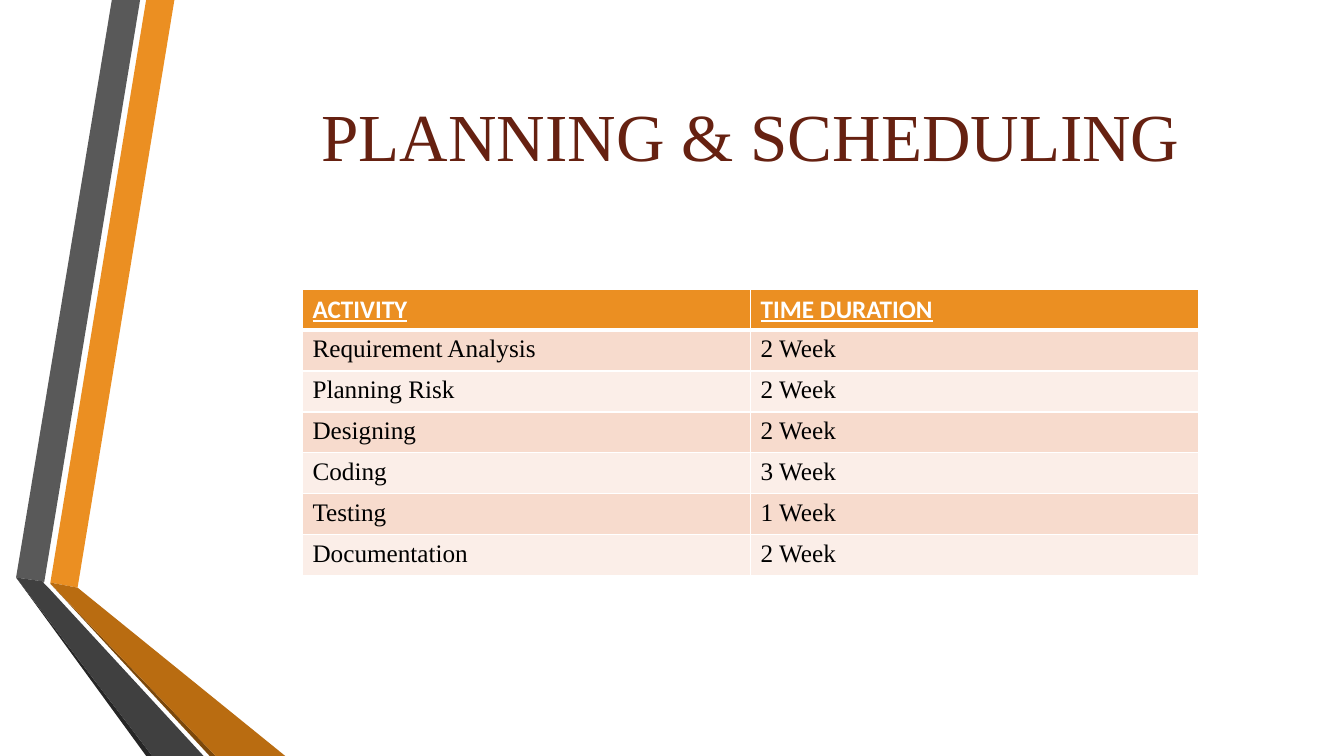
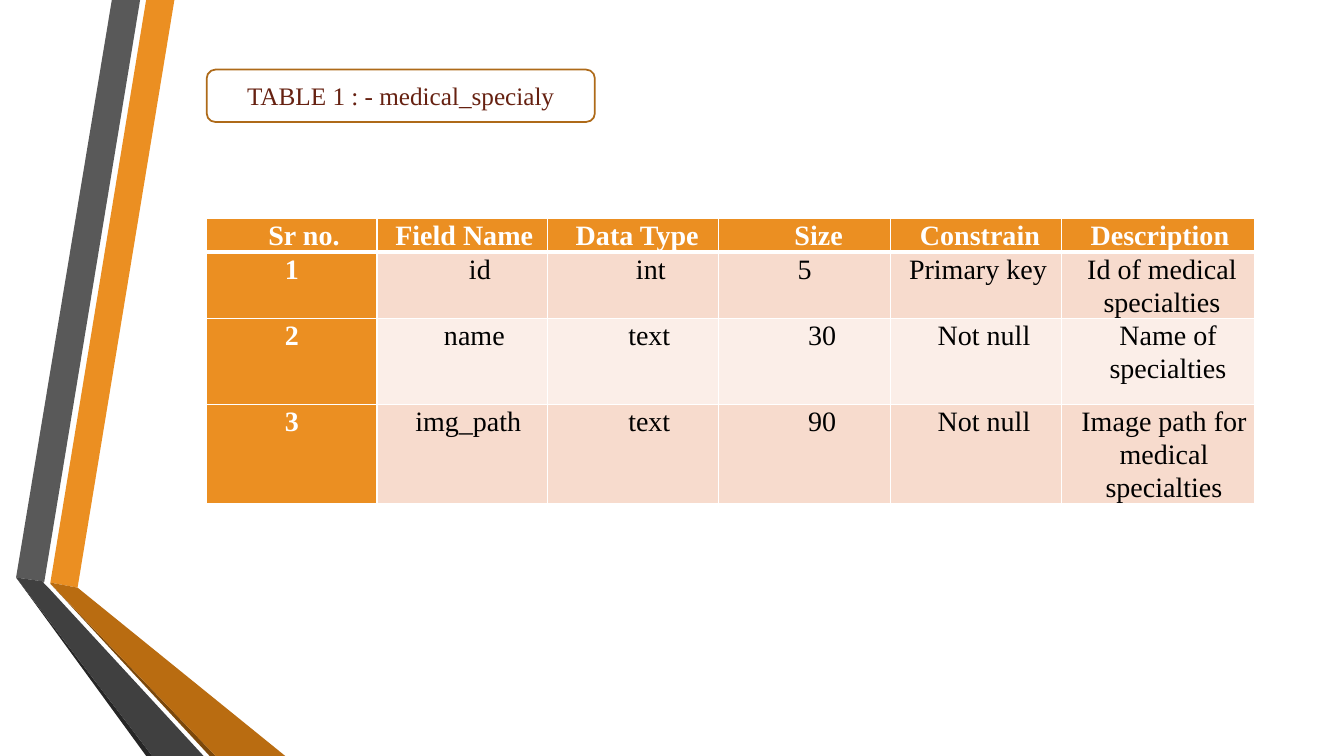
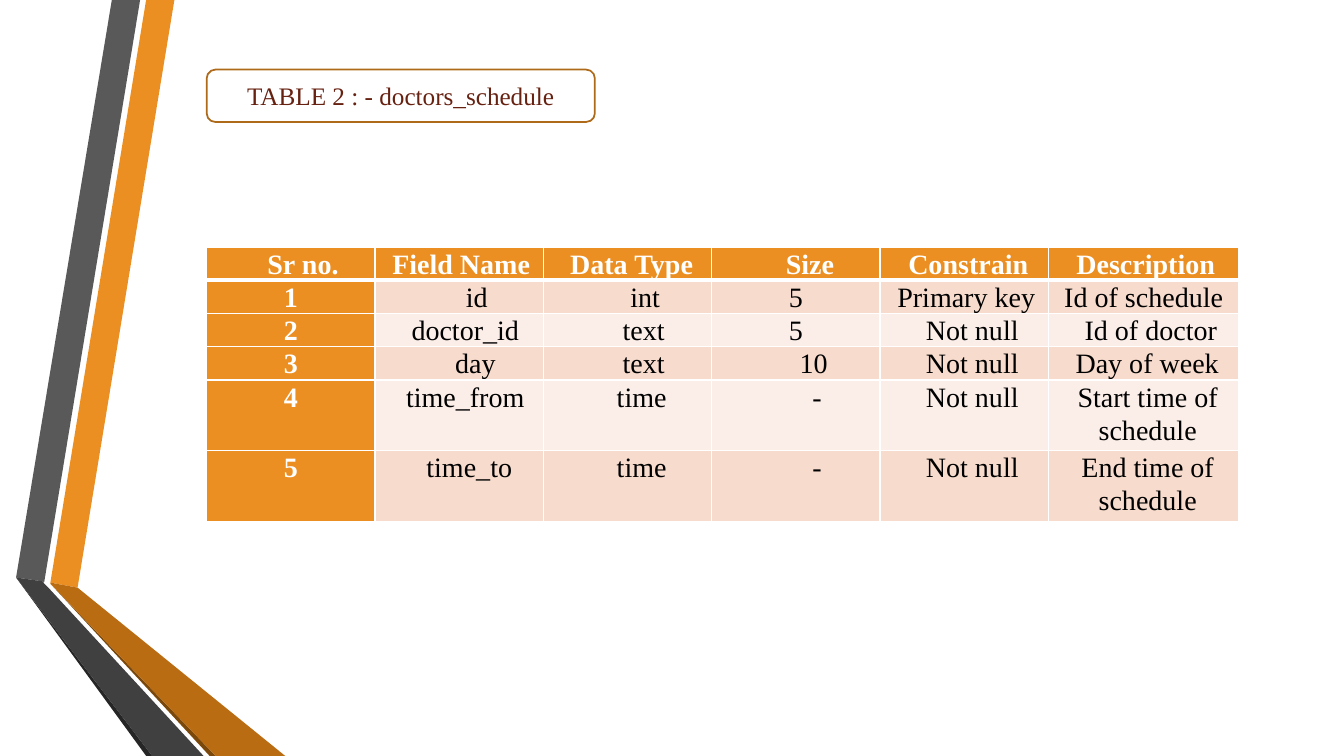
from lxml import etree
from pptx import Presentation
from pptx.dml.color import RGBColor
from pptx.enum.shapes import MSO_SHAPE
from pptx.enum.text import MSO_ANCHOR, MSO_AUTO_SIZE, PP_ALIGN
from pptx.oxml.ns import qn
from pptx.util import Pt

PX = 9144
WIDE, HIGH = 1333, 750
LEFT = 205

ORANGE = RGBColor(0xEB, 0x8F, 0x22)
RUST = RGBColor(0xB9, 0x6C, 0x11)
BROWN = RGBColor(0x7B, 0x48, 0x0B)
GREY = RGBColor(0x59, 0x59, 0x59)
DARK = RGBColor(0x40, 0x40, 0x40)
COAL = RGBColor(0x26, 0x26, 0x26)
MAROON = RGBColor(0x66, 0x21, 0x11)
EDGE = RGBColor(0xAE, 0x6A, 0x19)
PEACH = RGBColor(0xF7, 0xDB, 0xCD)
PALE = RGBColor(0xFB, 0xEE, 0xE8)
WHITE = RGBColor(0xFF, 0xFF, 0xFF)
BLACK = RGBColor(0x00, 0x00, 0x00)

SERIF, SANS = "Times New Roman", "Calibri"
ROUND = MSO_SHAPE.ROUNDED_RECTANGLE
MIDDLE = MSO_ANCHOR.MIDDLE
NO_FIT = MSO_AUTO_SIZE.NONE
CENTER = PP_ALIGN.CENTER

BANDS = [
    (ORANGE, [(50, 578), (77, 583), (173, 0), (145, 0)]),
    (GREY, [(139, 0), (111, 0), (16, 573), (44, 577)]),
    (COAL, [(16, 573), (145, 750), (151, 750)]),
    (BROWN, [(50, 579), (208, 750), (214, 750)]),
    (RUST, [(50, 579), (214, 750), (283, 750), (77, 583), (50, 578)]),
    (DARK, [(202, 750), (48, 583), (43, 578), (44, 577), (16, 573), (151, 750)]),
]

PLAN = [
    ("ACTIVITY", "TIME DURATION"),
    ("Requirement Analysis", "2 Week"),
    ("Planning Risk", "2 Week"),
    ("Designing", "2 Week"),
    ("Coding", "3 Week"),
    ("Testing", "1 Week"),
    ("Documentation", "2 Week"),
]
HEAD = ("Sr no.", "Field Name", "Data Type", "Size", "Constrain", "Description")
MEDICAL = [
    HEAD,
    ("1", "id", "int", "5", "Primary key", "Id of medical specialties"),
    ("2", "name", "text", "30", "Not null", "Name of specialties"),
    ("3", "img_path", "text", "90", "Not null", "Image path for medical specialties"),
]
DOCTORS = [
    HEAD,
    ("1", "id", "int", "5", "Primary key", "Id of schedule"),
    ("2", "doctor_id", "text", "5", "Not null", "Id of doctor"),
    ("3", "day", "text", "10", "Not null", "Day of week"),
    ("4", "time_from", "time", "-", "Not null", "Start time of schedule"),
    ("5", "time_to", "time", "-", "Not null", "End time of schedule"),
]
INDENTS = {
    "Sr no.": 24, "Field Name": 4, "Data Type": 8, "Size": 28,
    "Constrain": 8, "Description": 4,
    "id": 35, "int": 35, "name": 24, "img_path": 12, "doctor_id": 12,
    "day": 32, "time_from": 12, "time_to": 20, "text": 32, "time": 28,
    "30": 35, "90": 35, "10": 35, "-": 42, "Primary key": 4, "Not null": 16,
    "Id of medical specialties": 8, "Name of specialties": 20,
    "Image path for medical specialties": 12, "Id of doctor": 14,
    "Day of week": 7, "Start time of schedule": 8, "End time of schedule": 8,
}


def px(*sizes):
    return [size * PX for size in sizes]


def put(item, form):
    for name, value in form.items():
        setattr(item, name, value)


def ink(font, color, size, **form):
    put(font, {"name": SERIF, "size": Pt(size), **form})
    font.color.rgb = color


def add_bands(prs, slide):
    tree = prs.slide_master.element.cSld.spTree
    for num, (color, dots) in enumerate(BANDS):
        pen = slide.shapes.build_freeform(*dots[0], scale=PX)
        pen.add_line_segments(dots[1:], close=True)
        band = pen.convert_to_shape()
        band.shadow.inherit = False
        band.fill.solid()
        band.fill.fore_color.rgb = color
        band.line.fill.background()
        band.element.nvSpPr.cNvPr.set("id", str(100 + num))
        tree.insert(2 + num, band.element)


def add_title(slide, text, box):
    title = slide.shapes.title
    put(title, dict(zip(("left", "top", "width", "height"), px(*box))))
    frame = title.text_frame
    put(frame, {"text": text, "vertical_anchor": MIDDLE, "auto_size": NO_FIT})
    para = frame.paragraphs[0]
    para.alignment = CENTER
    ink(para.font, MAROON, 48)


def add_label(slide, text):
    label = slide.shapes.add_shape(ROUND, *px(LEFT, 69, 385, 52))
    label.shadow.inherit = False
    label.fill.solid()
    label.fill.fore_color.rgb = WHITE
    label.line.color.rgb = EDGE
    label.line.width = Pt(1.25)
    put(label.text_frame, {"text": text, "vertical_anchor": MIDDLE, "word_wrap": True})
    para = label.text_frame.paragraphs[0]
    para.alignment = CENTER
    ink(para.font, MAROON, 18)


def add_edges(cell, row):
    props = cell._tc.get_or_add_tcPr()
    thick = {"lnT": row == 1, "lnB": row == 0}
    for side in ("lnL", "lnR", "lnT", "lnB"):
        width = Pt(3 if thick.get(side) else 1)
        line = etree.SubElement(props, qn("a:" + side), w=str(width))
        fill = etree.SubElement(line, qn("a:solidFill"))
        etree.SubElement(fill, qn("a:srgbClr"), val=str(WHITE))


def paint(cell, row, strong):
    add_edges(cell, row)
    cell.fill.solid()
    cell.fill.fore_color.rgb = ORANGE if strong else PEACH if row % 2 else PALE


def add_grid(slide, rows, box):
    shape = slide.shapes.add_table(len(rows), len(rows[0]), *px(*box))
    return shape.table


def add_plan(slide):
    grid = add_grid(slide, PLAN, (300, 287, 889, 284))
    for row, texts in enumerate(PLAN):
        head = row == 0
        for col, text in enumerate(texts):
            cell = grid.cell(row, col)
            cell.text = text
            paint(cell, row, head)
            ink(cell.text_frame.paragraphs[0].font, WHITE if head else BLACK, 18,
                name=SANS if head else SERIF, bold=head, underline=head)


def add_fields(slide, rows, top, widths, heights):
    grid = add_grid(slide, rows, (LEFT, top, sum(widths), sum(heights)))
    grid.first_col = True
    for column, width in zip(grid.columns, widths):
        column.width = width * PX
    for line, height in zip(grid.rows, heights):
        line.height = height * PX
    for row, texts in enumerate(rows):
        for col, text in enumerate(texts):
            strong = row == 0 or col == 0
            cell = grid.cell(row, col)
            put(cell, {"text": text, "margin_left": 7 * PX, "margin_right": 7 * PX,
                       "margin_top": 0, "margin_bottom": 0})
            paint(cell, row, strong)
            para = cell.text_frame.paragraphs[0]
            put(para, {"alignment": CENTER, "line_spacing": 1.07, "space_after": Pt(8)})
            props = para._p.get_or_add_pPr()
            props.set("marL", str(INDENTS.get(text, 0) * PX))
            props.set("indent", "0")
            ink(para.font, WHITE if strong else BLACK, 20, bold=strong)


def main():
    prs = Presentation()
    prs.slide_width, prs.slide_height = px(WIDE, HIGH)
    titled, blank = prs.slide_layouts[5], prs.slide_layouts[6]

    slide = prs.slides.add_slide(titled)
    add_bands(prs, slide)
    add_title(slide, "PLANNING & SCHEDULING", (257, 80, 975, 107))
    add_plan(slide)

    slide = prs.slides.add_slide(blank)
    add_label(slide, "TABLE 1 : - medical_specialy")
    add_fields(slide, MEDICAL, 217, [169] * 2 + [170] * 3 + [191], [20, 52, 85, 85])

    slide = prs.slides.add_slide(blank)
    add_label(slide, "TABLE 2 : - doctors_schedule")
    add_fields(slide, DOCTORS, 245, [167] * 5 + [189], [27] * 4 + [70] * 2)

    prs.save("out.pptx")


if __name__ == "__main__":
    main()
